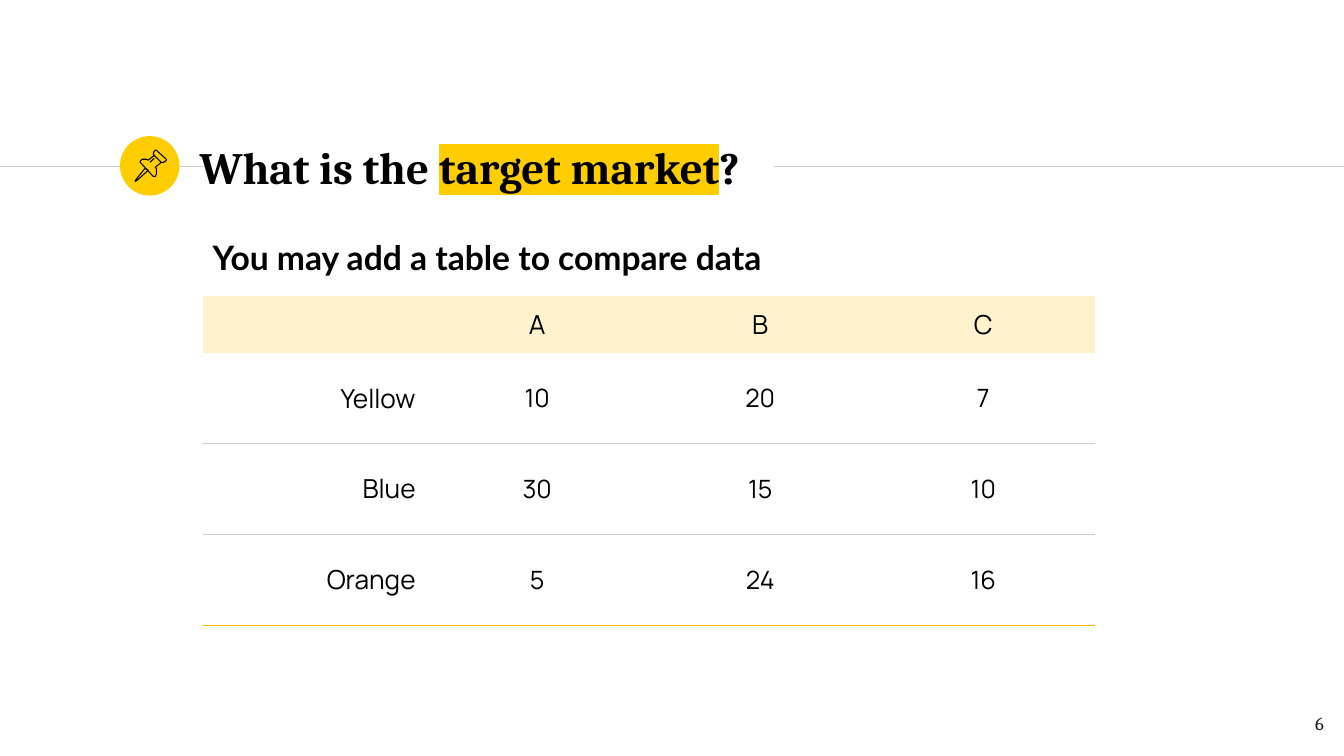
from lxml import etree
from pptx import Presentation
from pptx.dml.color import RGBColor
from pptx.enum.shapes import MSO_CONNECTOR, MSO_SHAPE
from pptx.enum.text import MSO_ANCHOR, MSO_AUTO_SIZE, PP_ALIGN
from pptx.oxml.ns import qn
from pptx.util import Inches, Pt

LEFT, MID, RIGHT = PP_ALIGN.LEFT, PP_ALIGN.CENTER, PP_ALIGN.RIGHT
TOP, CENTRE = MSO_ANCHOR.TOP, MSO_ANCHOR.MIDDLE
OVAL, LINE, NO_FIT = MSO_SHAPE.OVAL, MSO_CONNECTOR.STRAIGHT, MSO_AUTO_SIZE.NONE

WIDE, HIGH = 13.33, 7.5
EDGE = 2.01  # left edge shared by text and table
RULE_Y = 1.65
BLACK, GOLD, CREAM = "000000", "FFCD00", "FFF2CC"
GREY, AMBER, INK = "CCCCCC", "FFB600", "1D1D1B"
PLAIN = "{2D5ABB26-0587-4C30-8999-92F81FD0307C}"  # table style without grid

TITLE = [("What is the ", None), ("target market", GOLD), ("?", None)]
DATA = [
    ["", "A", "B", "C"],
    ["Yellow", "10", "20", "7"],
    ["Blue", "30", "15", "10"],
    ["Orange", "5", "24", "16"],
]

# Pin outlines in hundredths of an inch: points, closed
PIN = [
    ([(10, 18), (1, 29), (0, 31), (2, 30), (13, 20)], True),
    ([(19, 5), (26, 12), (28, 12), (30, 11), (31, 10), (31, 9),
      (21, 0), (20, 0), (19, 1), (18, 3)], True),
    ([(19, 5), (13, 10), (11, 9), (9, 9), (7, 9), (5, 11), (5, 12),
      (18, 26), (20, 26), (21, 24), (21, 22), (21, 18), (20, 17),
      (26, 12)], False),
    ([(15, 12), (19, 8)], False),
]


def color(code):
    return RGBColor.from_string(code)


def style(run, face, size, code=BLACK, bold=False):
    font = run.font
    font.name, font.size, font.bold = face, Pt(size), bold
    font.color.rgb = color(code)


def mark(run, code):
    """Put a highlight behind a run."""
    fill = run._r.get_or_add_rPr().find(qn("a:solidFill"))
    light = etree.Element(qn("a:highlight"))
    etree.SubElement(light, qn("a:srgbClr"), val=code)
    fill.addnext(light)


def frame(shape, pad, anchor, align):
    body = shape.text_frame
    body.word_wrap, body.auto_size = True, NO_FIT
    body.margin_left = body.margin_right = Inches(pad)
    body.margin_top = body.margin_bottom = Inches(pad)
    body.vertical_anchor = anchor
    body.paragraphs[0].alignment = align
    return body.paragraphs[0]


def add_title(slide, x, y, w, h):
    title = slide.shapes.title
    title.left, title.top = Inches(x), Inches(y)
    title.width, title.height = Inches(w), Inches(h)
    para = frame(title, 0.13, CENTRE, LEFT)
    for text, back in TITLE:
        run = para.add_run()
        run.text = text
        style(run, "Cambria", 32, bold=True)
        if back:
            mark(run, back)


def add_text(slide, box, text, pad, align, face, size, code, bold=False):
    label = slide.shapes.add_textbox(*map(Inches, box))
    para = frame(label, pad, TOP, align)
    para.text = text
    style(para.runs[0], face, size, code, bold)


def add_rule(slide, start, end, y):
    rule = slide.shapes.add_connector(
        LINE, Inches(start), Inches(y), Inches(end), Inches(y))
    rule.line.color.rgb, rule.line.width = color(GREY), Pt(0.75)
    etree.SubElement(rule._element.spPr, qn("a:effectLst"))


def add_badge(slide, x, y, size):
    """Gold disc with a line-drawn pin on it."""
    disc = slide.shapes.add_shape(OVAL, *map(Inches, (x, y, size, size)))
    disc.shadow.inherit = False
    disc.fill.solid()
    disc.fill.fore_color.rgb = color(GOLD)
    disc.line.fill.background()

    unit = size / 59
    left, top = Inches(x + 15 * unit), Inches(y + 14 * unit)
    group = slide.shapes.add_group_shape()
    for points, closed in PIN:
        pen = group.shapes.build_freeform(*points[0], scale=Inches(unit))
        pen.add_line_segments(points[1:], close=closed)
        part = pen.convert_to_shape(left, top)
        part.shadow.inherit = False
        part.fill.background()
        part.line.color.rgb, part.line.width = color(BLACK), Pt(0.75)


def underline(cell, code):
    edge = etree.Element(qn("a:lnB"), w=str(Pt(0.75)))
    fill = etree.SubElement(edge, qn("a:solidFill"))
    etree.SubElement(fill, qn("a:srgbClr"), val=code)
    cell._tc.get_or_add_tcPr().insert(0, edge)


def fill_cell(cell, text, row, col):
    cell.vertical_anchor = CENTRE
    cell.margin_left = cell.margin_right = Inches(0.1)
    cell.margin_top = cell.margin_bottom = Inches(0.07)
    if row == 0:
        cell.fill.solid()
        cell.fill.fore_color.rgb = color(CREAM)
    else:
        cell.fill.background()
        underline(cell, AMBER if row == len(DATA) - 1 else GREY)
    if text:
        para = cell.text_frame.paragraphs[0]
        para.text = text
        para.alignment = MID if col else RIGHT
        style(para.runs[0], "Manrope", 18 if row and col else 18.7)


def add_grid(slide, x, y, w, head, step):
    rows, cols = len(DATA), len(DATA[0])
    high = head + step * (rows - 1)
    shape = slide.shapes.add_table(rows, cols, *map(Inches, (x, y, w, high)))
    table = shape.table
    table.first_row = table.horz_banding = False
    table._tbl.tblPr.find(qn("a:tableStyleId")).text = PLAIN
    for r, values in enumerate(DATA):
        table.rows[r].height = Inches(step if r else head)
        for c, text in enumerate(values):
            fill_cell(table.cell(r, c), text, r, c)


def main():
    deck = Presentation()
    deck.slide_width, deck.slide_height = Inches(WIDE), Inches(HIGH)
    slide = deck.slides.add_slide(deck.slide_layouts[5])

    # Heading band
    add_rule(slide, 0, EDGE, RULE_Y)
    add_rule(slide, 7.68, WIDE, RULE_Y)
    add_badge(slide, 1.19, 1.35, 0.59)
    add_title(slide, 1.85, 1.33, 7.76, 0.64)

    # Lead line, table and page number
    add_text(slide, (EDGE, 2.25, 7.51, 0.94),
             "You may add a table to compare data",
             0.1, LEFT, "Lato", 24, BLACK, True)
    add_grid(slide, EDGE, 2.94, 8.85, 0.56, 0.9)
    add_text(slide, (12.46, 6.93, 0.8, 0.57), "6",
             0.13, RIGHT, "Cambria", 13.3, INK)

    deck.save("out.pptx")


if __name__ == "__main__":
    main()
